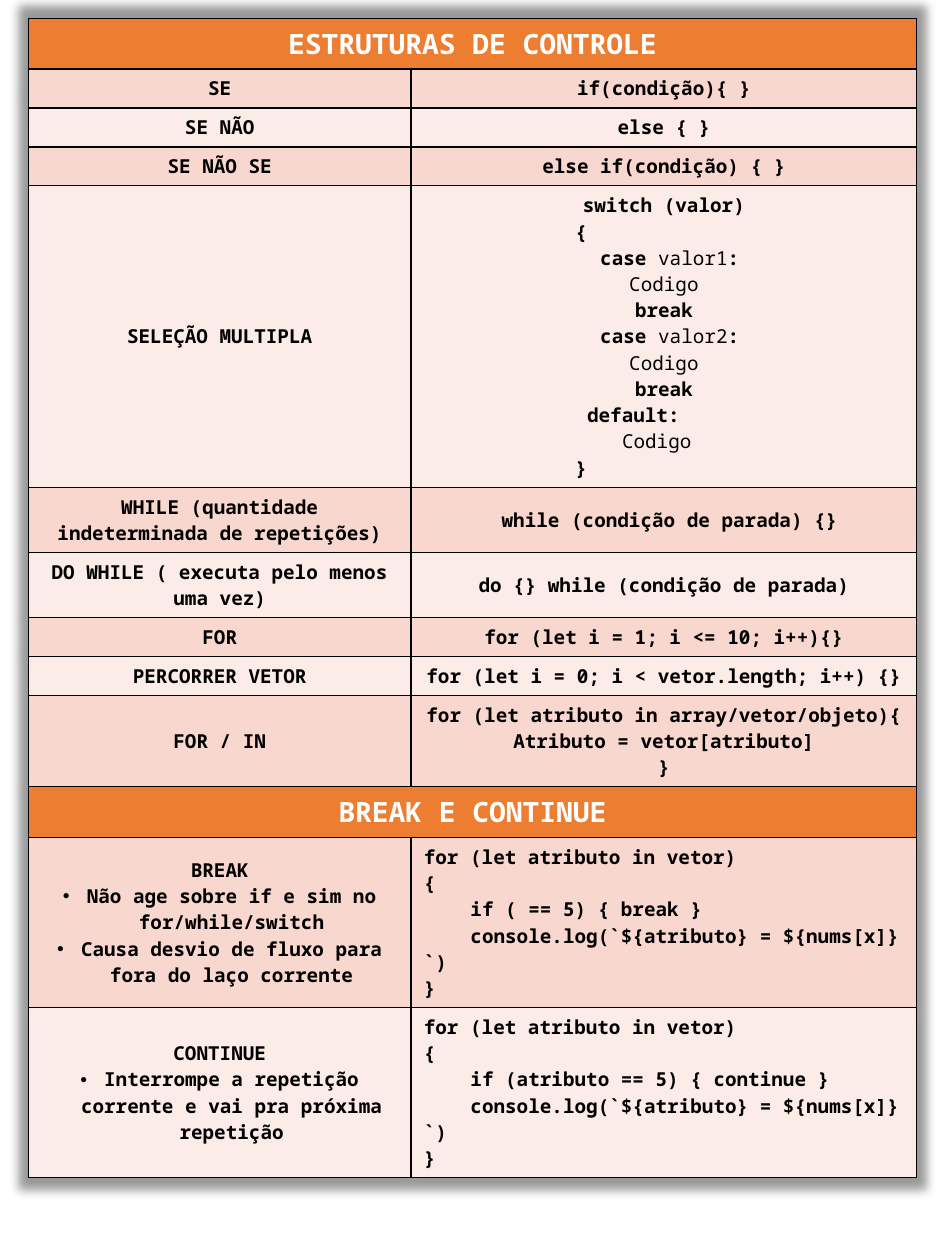
from dataclasses import dataclass

from lxml import etree
from pptx import Presentation
from pptx import util as u
from pptx.dml.color import RGBColor
from pptx.enum import text
from pptx.oxml import parse_xml
from pptx.oxml.ns import nsdecls, qn


@dataclass(frozen=True)
class Theme:
    font: str = "Noto Sans Mono"
    header_size: int = 16
    body_size: int = 11
    header_fill: str = "ED7D31"
    header_ink: str = "FFFFFF"
    bands: tuple = ("F8D7CE", "FCECE8")
    ink: str = "000000"


THEME = Theme()
COL_WIDTHS = (7.72, 10.19)
LINE_HEIGHT, ROW_PADDING, HEADER_HEIGHT = 0.53, 0.25, 1.02
CHAR = 0.235
BULLET_INDENT = 0.48


def centred(*lines):
    return [(line, {"align": text.PP_ALIGN.CENTER}) for line in lines]


def bullets(*lines):
    return [(line, {"align": text.PP_ALIGN.CENTER, "bullet": True}) for line in lines]


def code(line, columns=0):
    return [(line, {"indent": columns * CHAR})]


def loop_example(statement):
    return (code("for (let atributo in vetor)") + code("{") + code(statement, 4)
            + code("console.log(`${atributo} = ${nums[x]}`)", 4) + code("}"))


SWITCH = (
    centred("switch (valor)") + code("{", 13)
    + centred(" case *valor1*:", "*Codigo*", "break") 
    + centred(" case *valor2*:", "*Codigo*", "break")
    + code("default:", 14) + code("*Codigo*", 17) + code("}", 13)
)

SECTIONS = [
    ("ESTRUTURAS DE CONTROLE", [
        (1, centred("SE"), centred("if(condição){ }")),
        (1, centred("SE NÃO"), centred("else { }")),
        (1, centred("SE NÃO SE"), centred("else if(condição) { }")),
        (11, centred("SELEÇÃO MULTIPLA"), SWITCH),
        (2, centred("WHILE (quantidade indeterminada de repetições)"),
         centred(" while (condição de parada) {}")),
        (2, centred("DO WHILE ( executa pelo menos uma vez)"),
         centred("do {} while (condição de parada)")),
        (1, centred("FOR"), centred("for (let i = 1; i <= 10; i++){}")),
        (1, centred("PERCORRER VETOR"),
         centred("for (let i = 0; i < vetor.length; i++) {}")),
        (3, centred("FOR / IN"),
         centred("for (let atributo in array/vetor/objeto){",
                 "Atributo = vetor[atributo]", "}")),
    ]),
    ("BREAK E CONTINUE", [
        (6, centred("BREAK")
         + bullets("Não age sobre if e sim no for/while/switch",
                   "Causa desvio de fluxo para fora do laço corrente"),
         loop_example("if ( == 5) { break }")),
        (6, centred("CONTINUE")
         + bullets("Interrompe a repetição corrente e vai pra próxima repetição"),
         loop_example("if (atributo == 5) { continue }")),
    ]),
]


def add_borders(cell):
    tc_pr = cell._tc.get_or_add_tcPr()
    for side in ("lnL", "lnR", "lnT", "lnB"):
        tc_pr.append(parse_xml(
            f'<a:{side} {nsdecls("a")} w="12700"><a:solidFill>'
            f'<a:srgbClr val="{THEME.ink}"/></a:solidFill></a:{side}>'))


def add_shadow(table):
    table._tbl.tblPr.insert(0, parse_xml(
        f'<a:effectLst {nsdecls("a")}><a:outerShdw blurRad="63500" sx="102000" '
        f'sy="102000" algn="ctr" rotWithShape="0"><a:srgbClr val="{THEME.ink}">'
        '<a:alpha val="40000"/></a:srgbClr></a:outerShdw></a:effectLst>'))


def format_paragraph(p, align=text.PP_ALIGN.LEFT, indent=0, bullet=False):
    p.alignment = align
    p_pr = p._p.get_or_add_pPr()
    if bullet:
        p_pr.set("marL", str(u.Cm(BULLET_INDENT)))
        p_pr.set("indent", str(-u.Cm(BULLET_INDENT)))
        etree.SubElement(p_pr, qn("a:buFont")).set("typeface", "Arial")
        etree.SubElement(p_pr, qn("a:buChar")).set("char", "•")
    elif indent:
        p_pr.set("marL", "0")
        p_pr.set("indent", str(u.Cm(indent)))


def add_runs(p, line, size, ink):
    for i, part in enumerate(line.split("*")):
        if part:
            r = p.add_run()
            r.text = part
            r.font.name = THEME.font
            r.font.size = u.Pt(size)
            r.font.bold = i % 2 == 0
            r.font.color.rgb = RGBColor.from_string(ink)


def fill_cell(cell, lines, fill, size=THEME.body_size, ink=THEME.ink):
    add_borders(cell)
    cell.fill.solid()
    cell.fill.fore_color.rgb = RGBColor.from_string(fill)
    cell.vertical_anchor = text.MSO_ANCHOR.MIDDLE
    tf = cell.text_frame
    for i, (line, options) in enumerate(lines):
        p = tf.add_paragraph() if i else tf.paragraphs[0]
        format_paragraph(p, **options)
        add_runs(p, line, size, ink)


def add_header(table, row, title):
    table.rows[row].height = u.Cm(HEADER_HEIGHT)
    first, last = table.cell(row, 0), table.cell(row, 1)
    first.merge(last)
    add_borders(last)
    fill_cell(first, centred(title), THEME.header_fill,
              THEME.header_size, THEME.header_ink)


def add_entry(table, row, band, line_count, name, syntax):
    table.rows[row].height = u.Cm(ROW_PADDING + LINE_HEIGHT * line_count)
    for col, lines in enumerate((name, syntax)):
        fill_cell(table.cell(row, col), lines, THEME.bands[band % 2])


def add_reference_table(s):
    row_count = sum(1 + len(entries) for _, entries in SECTIONS)
    table = s.shapes.add_table(row_count, 2, u.Cm(0.57), u.Cm(0.37),
                               u.Cm(sum(COL_WIDTHS)), u.Cm(23.4)).table
    table.horz_banding = False
    add_shadow(table)
    for column, width in zip(table.columns, COL_WIDTHS):
        column.width = u.Cm(width)
    row = 0
    for title, entries in SECTIONS:
        add_header(table, row, title)
        for band, entry in enumerate(entries):
            add_entry(table, row + 1 + band, band, *entry)
        row += 1 + len(entries)


def main():
    prs = Presentation()
    prs.slide_width, prs.slide_height = u.Cm(19.05), u.Cm(25.4)
    s = prs.slides.add_slide(prs.slide_layouts[6])
    add_reference_table(s)
    prs.save("out.pptx")


main()
